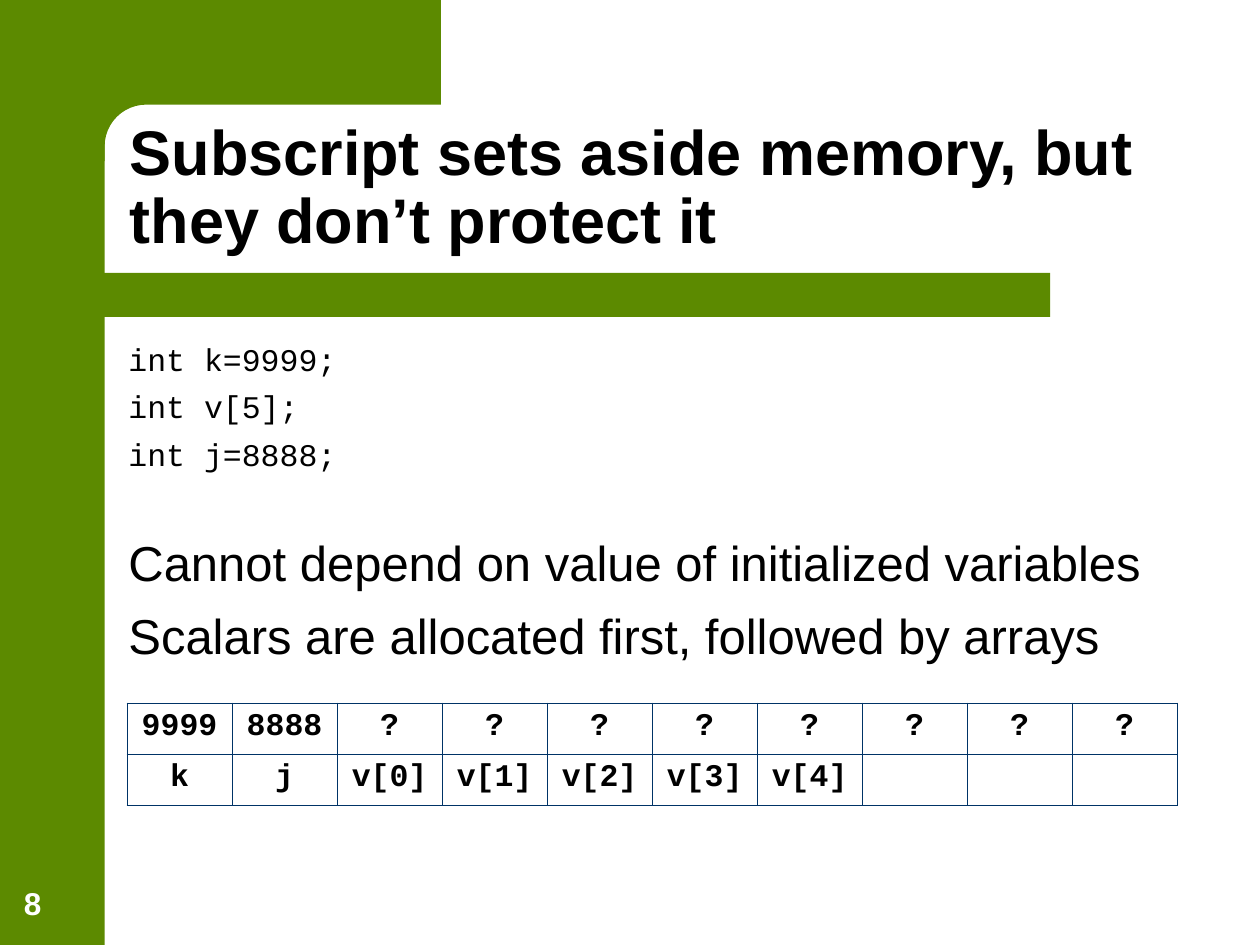
"""Build the slide on array subscripts and memory layout."""
from math import cos, pi, sin

from lxml.etree import SubElement
from pptx import Presentation
from pptx.dml.color import RGBColor
from pptx.enum.shapes import MSO_SHAPE as Kind
from pptx.enum.text import MSO_ANCHOR as Anchor, MSO_AUTO_SIZE as Auto, PP_ALIGN as Align
from pptx.oxml.ns import qn
from pptx.util import Cm, Pt

GREEN = RGBColor(0x5C, 0x8A, 0x00)
NAVY = RGBColor(0x00, 0x33, 0x66)
BLACK = RGBColor(0, 0, 0)
WHITE = RGBColor(255, 255, 255)
SANS, MONO = "Arial", "Courier New"

TITLE = "Subscript sets aside memory, but they don’t protect it"
BODY = [
    ("int k=9999;", MONO, 18, 0),
    ("int v[5];", MONO, 18, 5.6),
    ("int j=8888;", MONO, 18, 5.6),
    ("Cannot depend on value of initialized variables", SANS, 28, 34),
    ("Scalars are allocated first, followed by arrays", SANS, 28, 8.4),
]
CELLS = [
    ["9999", "8888"] + ["?"] * 8,
    ["k", "j"] + [f"v[{i}]" for i in range(5)] + [""] * 3,
]
BARS = [
    (Kind.RECTANGLE, 0, 0, 2.11, 19.05, 0),
    (Kind.RECTANGLE, 1.7, 5.5, 19.47, 0.89, 0),
    (Kind.FLOWCHART_DELAY, 0.64, 5.5, 1.08, 0.89, 180),
]


def paint(shape):
    shape.shadow.inherit = False
    shape.fill.solid()
    shape.fill.fore_color.rgb = GREEN
    shape.line.fill.background()


def style(para, face, size, color=BLACK, bold=False):
    font = para.font
    font.name, font.size, font.bold = face, Pt(size), bold
    font.color.rgb = color


def place(shape, x, y, w, h):
    shape.left, shape.top, shape.width, shape.height = map(Cm, (x, y, w, h))


def frame(shape, anchor):
    text = shape.text_frame
    text.word_wrap, text.auto_size = True, Auto.NONE
    text.vertical_anchor = anchor
    return text


def border(cell):
    props = cell._tc.get_or_add_tcPr()
    for side in ("lnL", "lnR", "lnT", "lnB"):
        line = SubElement(props, qn(f"a:{side}"), w=str(Pt(0.45)))
        fill = SubElement(line, qn("a:solidFill"))
        SubElement(fill, qn("a:srgbClr"), val=str(NAVY))


def draw_frame(shapes):
    for kind, x, y, w, h, turn in BARS:
        bar = shapes.add_shape(kind, Cm(x), Cm(y), Cm(w), Cm(h))
        bar.rotation = turn
        paint(bar)
    mid, rad, steps = 2.95, 0.84, 12
    turns = [pi / 2 * i / steps for i in range(steps + 1)]
    arc = [(mid - rad * sin(a), mid - rad * cos(a)) for a in turns]
    edge = [(8.89, 0), (8.89, 2.11), *arc, (2.11, 3.25), (1.27, 3.25)]
    path = shapes.build_freeform(Cm(1.27), 0)
    path.add_line_segments([(Cm(x), Cm(y)) for x, y in edge], close=True)
    paint(path.convert_to_shape())


def write_text(shapes):
    title = shapes.title
    place(title, 2.36, 2.54, 21.62, 2.77)
    text = frame(title, Anchor.BOTTOM)
    text.text = TITLE
    para = text.paragraphs[0]
    para.alignment, para.line_spacing = Align.LEFT, 0.9
    style(para, SANS, 36, bold=True)

    body = shapes.add_textbox(Cm(2.34), Cm(6.55), Cm(21.36), Cm(10.34))
    text = frame(body, Anchor.TOP)
    text.margin_top = Cm(0.3)
    for i, (line, face, size, gap) in enumerate(BODY):
        para = text.add_paragraph() if i else text.paragraphs[0]
        para.text, para.space_before = line, Pt(gap)
        style(para, face, size)

    page = shapes.add_textbox(Cm(0.23), Cm(17.35), Cm(1.63), Cm(1.35))
    text = frame(page, Anchor.BOTTOM)
    text.text = "8"
    style(text.paragraphs[0], SANS, 18, WHITE, True)


def draw_table(shapes):
    rows, cols = len(CELLS), len(CELLS[0])
    table = shapes.add_table(
        rows, cols, Cm(2.56), Cm(14.17), Cm(21.17), Cm(2.06)).table
    table.first_row = table.horz_banding = False
    for r, row in enumerate(CELLS):
        for c, word in enumerate(row):
            cell = table.cell(r, c)
            border(cell)
            cell.fill.background()
            cell.text = word
            para = cell.text_frame.paragraphs[0]
            para.alignment = Align.CENTER
            style(para, MONO, 18, bold=True)


def main():
    deck = Presentation()
    deck.slide_width, deck.slide_height = Cm(25.4), Cm(19.05)
    shapes = deck.slides.add_slide(deck.slide_layouts[5]).shapes
    draw_frame(shapes)
    write_text(shapes)
    draw_table(shapes)
    deck.save("out.pptx")


if __name__ == "__main__":
    main()
